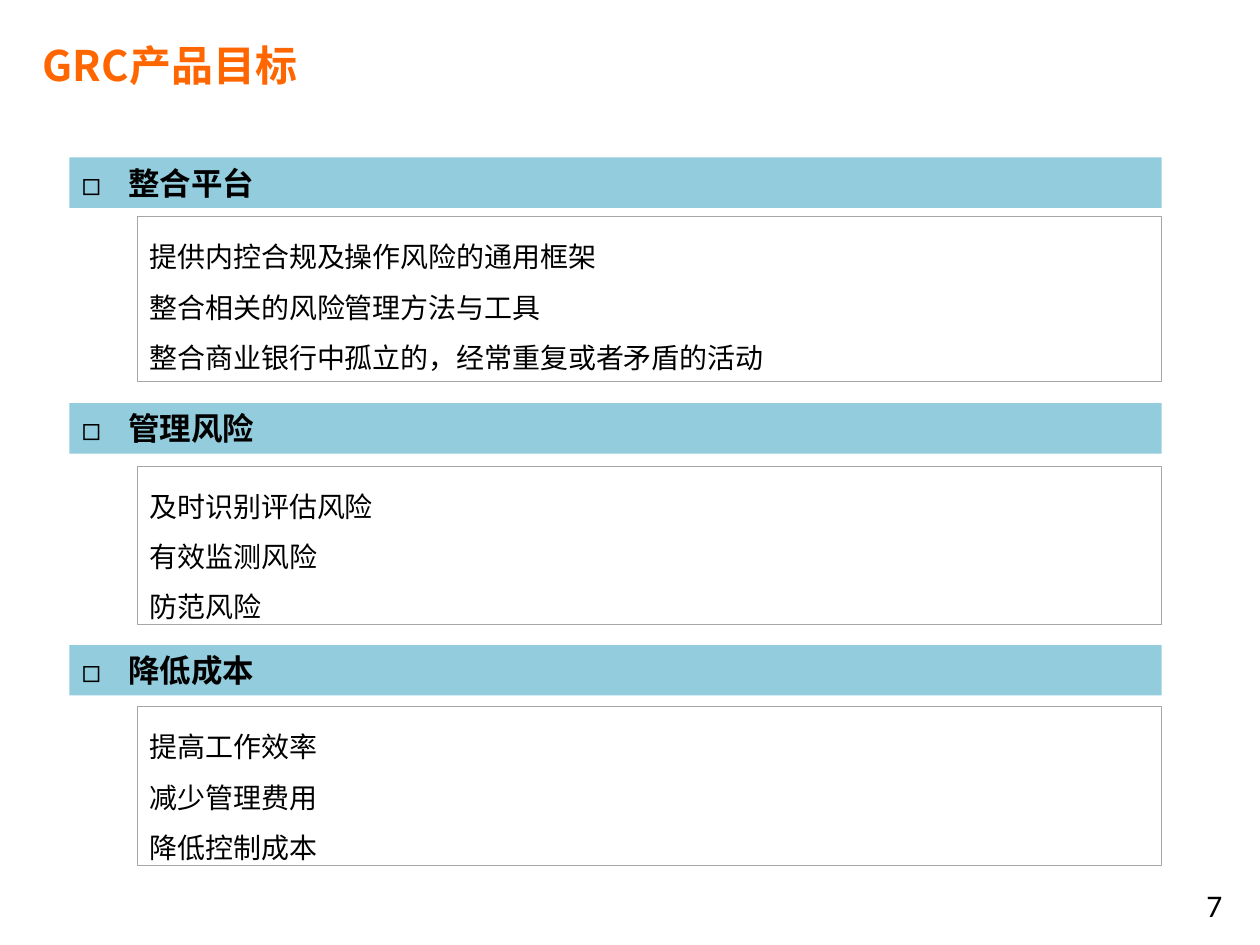
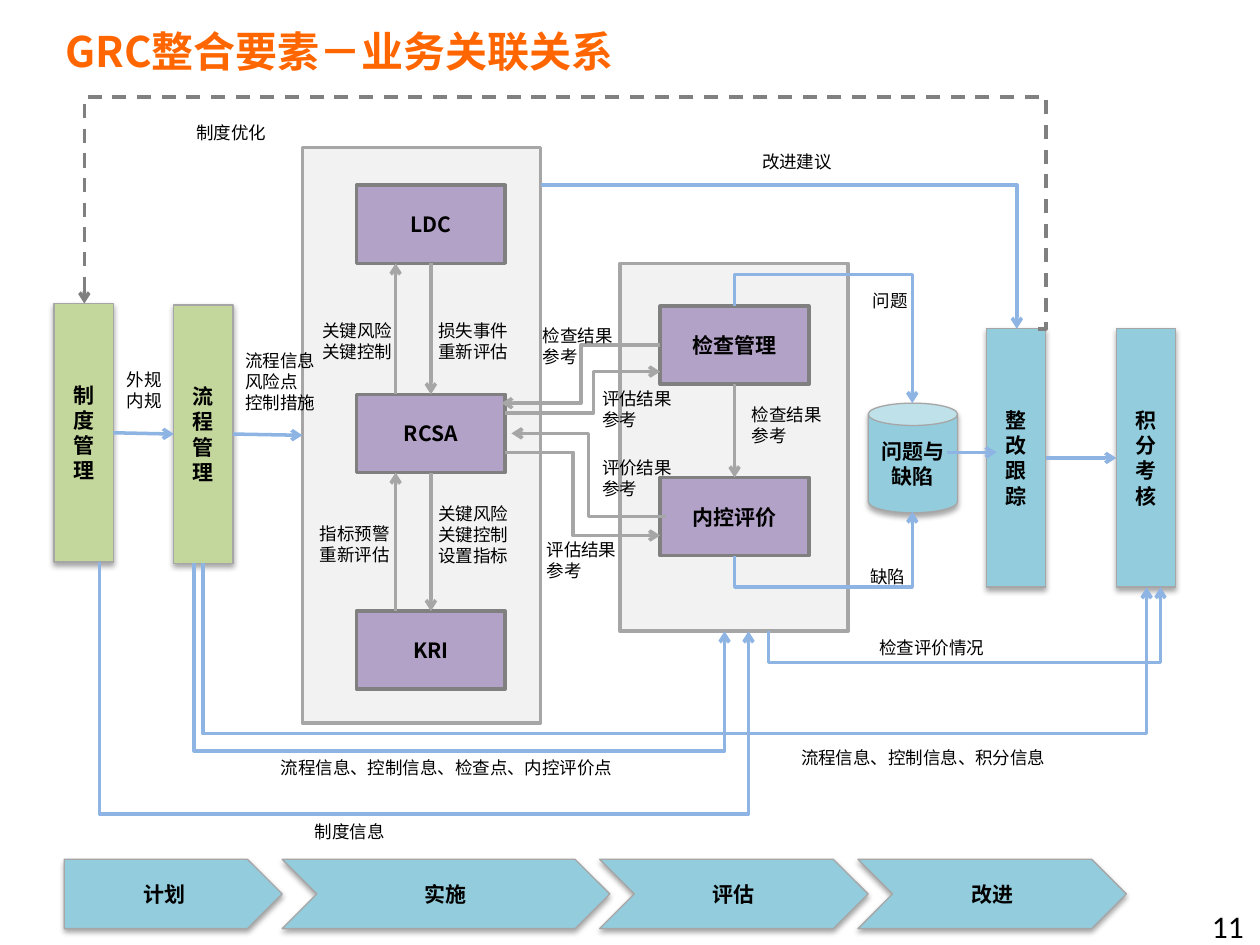
from math import ceil

from lxml import etree
from pptx import Presentation
from pptx import util as u
from pptx.dml.color import RGBColor
from pptx.enum import dml, shapes, text
from pptx.oxml.ns import qn

# Shared look
PX = 9144  # 100 px to the inch
CJK, LATIN = "Noto Sans CJK SC", "Calibri"
ORANGE = RGBColor(0xFF, 0x66, 0x00)
BLACK = RGBColor(0, 0, 0)
WHITE = RGBColor(0xFF, 0xFF, 0xFF)
TEAL = RGBColor(0x93, 0xCD, 0xDD)
GREEN = RGBColor(0xC3, 0xD6, 0x9B)
PURPLE = RGBColor(0xB3, 0xA2, 0xC7)
PALE = RGBColor(0xF2, 0xF2, 0xF2)
GREY = RGBColor(0xA6, 0xA6, 0xA6)
DARK = RGBColor(0x80, 0x80, 0x80)
BLUE = RGBColor(0x8E, 0xB4, 0xE3)
KIND = shapes.MSO_SHAPE

# Goals slide: heading, heading top, list top, list height, list
GOALS = [
    ("整合平台", 125, 172, 131,
     ["提供内控合规及操作风险的通用框架", "整合相关的风险管理方法与工具", "整合商业银行中孤立的，经常重复或者矛盾的活动"]),
    ("管理风险", 320, 370, 126, ["及时识别评估风险", "有效监测风险", "防范风险"]),
    ("降低成本", 512, 561, 126, ["提高工作效率", "减少管理费用", "降低控制成本"]),
]

# Relations slide: areas, then nodes by style (left, top)
AREAS = {"实施区": (240, 117, 189, 457), "评估区": (492, 209, 181, 292)}
PILLARS = [("制度管理", 43, 241, GREEN), ("流程管理", 138, 242, GREEN),
           ("整改跟踪", 783, 261, TEAL), ("积分考核", 886, 261, TEAL)]
TASKS = [("LDC", 283, 147), ("RCSA", 283, 313), ("KRI", 283, 485),
         ("检查管理", 524, 243), ("内控评价", 524, 379)]
STAGES = [("计划", 51, 173, KIND.PENTAGON), ("实施", 224, 260, KIND.CHEVRON),
          ("评估", 476, 213, KIND.CHEVRON), ("改进", 681, 213, KIND.CHEVRON)]

# Arrows joined to side middles: from, side, to, side, colour
JOINED = [
    ("制度管理", 3, "流程管理", 1, BLUE),
    ("流程管理", 3, "实施区", 1, BLUE),
    ("整改跟踪", 3, "积分考核", 1, BLUE),
    ("检查管理", 2, "内控评价", 0, GREY),
]
STRAIGHT = [
    ((314, 313), (314, 209), GREY), ((342, 209), (342, 313), GREY),
    ((314, 485), (314, 375), GREY), ((342, 375), (342, 485), GREY),
    ((752, 359), (791, 359), BLUE),
]
# Bent arrows: from, to, bend positions
SIDEWAYS = [
    ((401, 359), (524, 425), [455], GREY),
    ((524, 274), (398, 320), [461], GREY),
    ((529, 410), (406, 344), [467], GREY),
    ((401, 328), (524, 295), [471], GREY),
    ((429, 147), (807, 261), [], BLUE),
]
UPRIGHT = [
    ((154, 447), (575, 501), [596], BLUE),
    ((79, 446), (594, 501), [646], BLUE),
    ((583, 243), (724, 320), [218], BLUE),
    ((583, 441), (724, 406), [466], BLUE),
    ((161, 447), (910, 466), [582], BLUE),
    ((610, 501), (921, 466), [526], BLUE),
]
FEEDBACK = ((824, 261), (67, 241), [830, 77], DARK)

# Labels: left, top, width, lines
LABELS = [
    (91, 288, 84, ["外规", "内规"]),
    (185, 273, 84, ["流程信息", "风险点", "控制措施"]),
    (338, 249, 84, ["损失事件", "重新评估"]),
    (246, 249, 84, ["关键风险", "关键控制"]),
    (338, 394, 84, ["关键风险", "关键控制", "设置指标"]),
    (244, 410, 84, ["指标预警重新评估"]),
    (213, 596, 301, ["流程信息、控制信息、检查点、内控评价点"]),
    (240, 647, 84, ["制度信息"]),
    (424, 423, 84, ["评估结果", "参考"]),
    (421, 253, 84, ["检查结果参考"]),
    (468, 358, 84, ["评价结果参考"]),
    (468, 303, 84, ["评估结果", "参考"]),
    (595, 115, 186, ["改进建议"]),
    (683, 225, 186, ["问题"]),
    (688, 501, 221, ["检查评价情况"]),
    (587, 316, 84, ["检查结果参考"]),
    (681, 444, 131, ["缺陷"]),
    (146, 92, 186, ["制度优化"]),
    (626, 588, 260, ["流程信息、控制信息、积分信息"]),
]


def emu(*lengths):
    return [u.Emu(round(length * PX)) for length in lengths]


def write(frame, lines, size, bold=False, color=BLACK, font=CJK,
          align=text.PP_ALIGN.LEFT, anchor=text.MSO_ANCHOR.TOP, spacing=None, bullet=None):
    frame.word_wrap = True
    frame.auto_size = text.MSO_AUTO_SIZE.NONE
    frame.vertical_anchor = anchor
    for index, line in enumerate(lines):
        para = frame.add_paragraph() if index else frame.paragraphs[0]
        para.text = line
        para.alignment = align
        if spacing:
            para.line_spacing = spacing
        if bullet:
            props = para._p.get_or_add_pPr()
            props.set("marL", str(37 * PX))
            props.set("indent", str(-37 * PX))
            etree.SubElement(props, qn("a:buFont"), typeface=CJK)
            etree.SubElement(props, qn("a:buChar"), char=bullet)
        para.font.size, para.font.bold = u.Pt(size), bold
        para.font.name, para.font.color.rgb = font, color
        defaults = para._p.pPr.find(qn("a:defRPr"))
        etree.SubElement(defaults, qn("a:ea"), typeface=font)


def add_page(deck, title, title_at, number, number_at):
    page = deck.slides.add_slide(deck.slide_layouts[5])
    head = page.shapes.title
    head.left, head.top, head.width, head.height = emu(*title_at)
    write(head.text_frame, [title], 24, True, ORANGE, anchor=text.MSO_ANCHOR.MIDDLE)
    box = page.shapes.add_textbox(*emu(*number_at))
    write(box.text_frame, [number], 18, font=LATIN, align=text.PP_ALIGN.RIGHT)
    return page


def add_block(page, at, fill, line=None, width=0.75, kind=KIND.RECTANGLE, shadow=False):
    block = page.shapes.add_shape(kind, *emu(*at))
    block.fill.solid()
    block.fill.fore_color.rgb = fill
    if line is None:
        block.line.fill.background()
    else:
        block.line.color.rgb, block.line.width = line, u.Pt(width)
    block.shadow.inherit = False
    if shadow:
        effects = block._element.spPr.find(qn("a:effectLst"))
        outer = etree.SubElement(effects, qn("a:outerShdw"), blurRad="40000",
                                 dist="23000", dir="5400000", rotWithShape="0")
        black = etree.SubElement(outer, qn("a:srgbClr"), val="000000")
        etree.SubElement(black, qn("a:alpha"), val="35000")
    return block


def add_node(page, name, *args, **options):
    node = add_block(page, *args, **options)
    write(node.text_frame, [name], 12, True, align=text.PP_ALIGN.CENTER,
          anchor=text.MSO_ANCHOR.MIDDLE)
    return node


def add_arrow(page, start, end, color, kind=shapes.MSO_CONNECTOR.STRAIGHT, dashed=False):
    arrow = page.shapes.add_connector(kind, *emu(*start, *end))
    arrow.line.color.rgb, arrow.line.width = color, u.Pt(2)
    if dashed:
        arrow.line.dash_style = dml.MSO_LINE.DASH
    etree.SubElement(arrow.line._get_or_add_ln(), qn("a:tailEnd"), type="arrow")
    etree.SubElement(arrow._element.spPr, qn("a:effectLst"))
    return arrow


def add_bent_arrow(page, start, end, bends, color, upright=False, dashed=False):
    """Bends are alternating x and y positions; upright arrows leave vertically."""
    (x1, y1), (x2, y2) = start, end
    begin, finish, turn = start, end, 0
    if upright:  # lay the route flat about its centre, then turn it
        turn = 1 if y2 < y1 else -1
        run, rise = turn * (y2 - y1) / 2, -turn * (x2 - x1) / 2
        cx, cy = (x1 + x2) / 2, (y1 + y2) / 2
        begin, finish = (cx - run, cy - rise), (cx + run, cy + rise)
    arrow = add_arrow(page, begin, finish, color, shapes.MSO_CONNECTOR.ELBOW, dashed)
    props = arrow._element.spPr
    if turn:
        props.find(qn("a:xfrm")).set("rot", str(turn % 4 * 5400000))
    outline = props.find(qn("a:prstGeom"))
    outline.set("prst", f"bentConnector{len(bends) + 2}")
    guides = outline.find(qn("a:avLst"))
    if guides is None:
        guides = etree.SubElement(outline, qn("a:avLst"))
    for index, bend in enumerate(bends):
        axis = (index + upright) % 2
        share = (bend - start[axis]) / (end[axis] - start[axis])
        etree.SubElement(guides, qn("a:gd"), name=f"adj{index + 1}",
                         fmla=f"val {round(share * 100000)}")


def build_goals(deck):
    page = add_page(deck, "GRC产品目标", (24, 24, 504, 54), "7", (747, 698, 233, 52))
    for heading, bar_top, list_top, list_height, lines in GOALS:
        bar = add_block(page, (55, bar_top, 867, 40), TEAL)
        write(bar.text_frame, [heading], 18, True, bullet="◻")
        panel = add_block(page, (109, list_top, 813, list_height), WHITE, GREY)
        write(panel.text_frame, lines, 16, spacing=1.5)


def build_relations(deck):
    page = add_page(deck, "GRC整合要素－业务关联关系", (42, 13, 575, 54), "11", (764, 715, 233, 35))
    # Areas and nodes
    nodes = {name: add_block(page, at, PALE, GREY, 2) for name, at in AREAS.items()}
    for name, left, top, fill in PILLARS:
        nodes[name] = add_node(page, name, (left, top, 47, 205), fill, GREY, shadow=True)
    for name, left, top in TASKS:
        nodes[name] = add_node(page, name, (left, top, 118, 62), PURPLE, DARK, 2)
    add_node(page, "问题与缺陷", (689, 320, 71, 87), TEAL, GREY, kind=KIND.CAN, shadow=True)
    for name, left, width, kind in STAGES:
        add_node(page, name, (left, 682, width, 55), TEAL, GREY, kind=kind, shadow=True)
    # Arrows
    for source, out_side, target, in_side, color in JOINED:
        arrow = add_arrow(page, (0, 0), (0, 0), color)
        arrow.begin_connect(nodes[source], out_side)
        arrow.end_connect(nodes[target], in_side)
    for start, end, color in STRAIGHT:
        add_arrow(page, start, end, color)
    for route in SIDEWAYS:
        add_bent_arrow(page, *route)
    for route in UPRIGHT:
        add_bent_arrow(page, *route, upright=True)
    add_bent_arrow(page, *FEEDBACK, dashed=True)
    # Labels, as tall as their wrapped lines
    for left, top, width, lines in LABELS:
        per_row = (width - 20) // 13.9
        rows = sum(ceil(len(line) / per_row) for line in lines)
        label = page.shapes.add_textbox(*emu(left, top, width, 10 + 17 * rows))
        write(label.text_frame, lines, 10)


def main():
    deck = Presentation()
    deck.slide_width, deck.slide_height = emu(1000, 750)
    build_goals(deck)
    build_relations(deck)
    deck.save("out.pptx")


if __name__ == "__main__":
    main()
